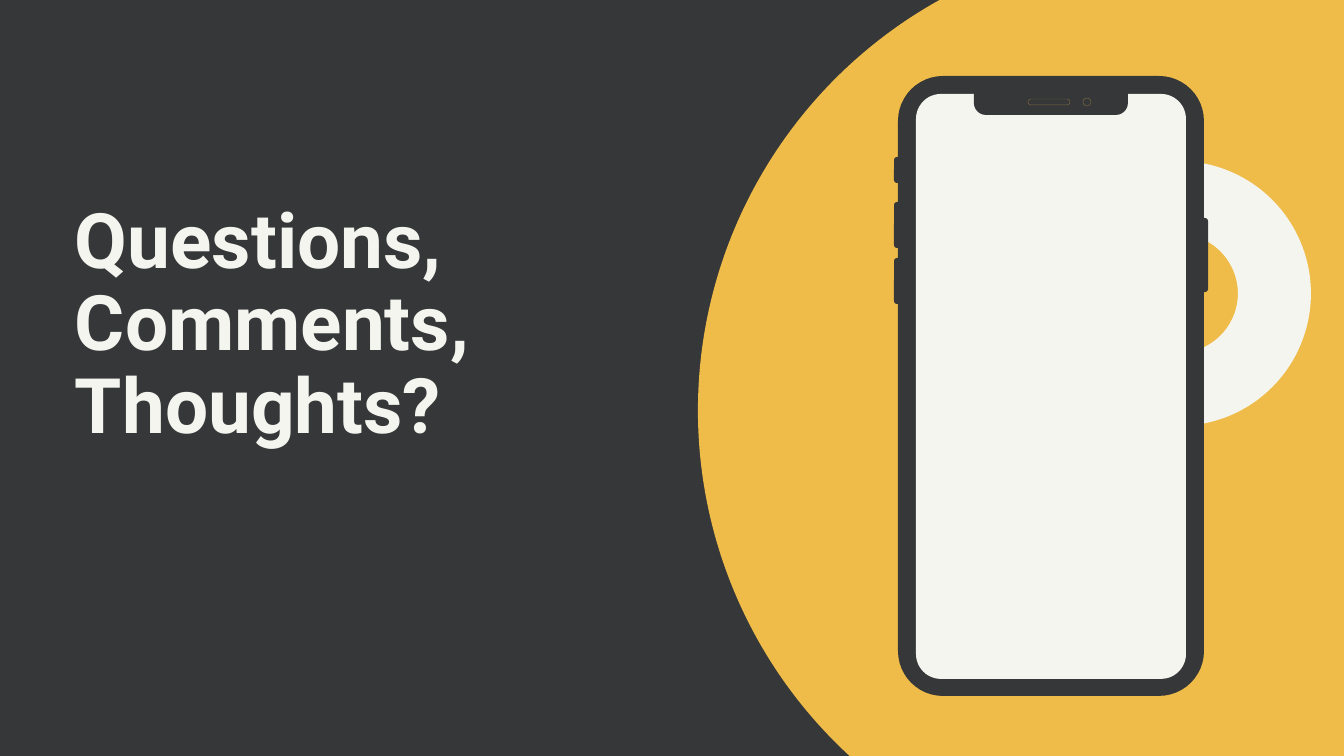
from pptx import Presentation
from pptx.dml.color import RGBColor
from pptx.enum.shapes import MSO_SHAPE
from pptx.enum.text import MSO_ANCHOR, MSO_AUTO_SIZE, PP_ALIGN
from pptx.util import Pt

DARK = RGBColor(0x36, 0x37, 0x39)
YELLOW = RGBColor(0xEF, 0xBC, 0x49)
CREAM = RGBColor(0xF5, 0xF5, 0xEF)
SEAM = RGBColor(0x7A, 0x66, 0x40)

OVAL = MSO_SHAPE.OVAL
DONUT = MSO_SHAPE.DONUT
ROUNDED = MSO_SHAPE.ROUNDED_RECTANGLE
ROUND_TWO = MSO_SHAPE.ROUND_2_SAME_RECTANGLE

TITLE = "Questions, Comments, Thoughts?"
TITLE_BOX = (75, 243, 540, 207)

# shape, (left, top, width, height), fill, corner radii or ring thickness
BACKDROP = [
    (OVAL, (698, -59, 939, 939), YELLOW, ()),
    (DONUT, (1046, 161, 265, 265), CREAM, (73,)),
]
BUTTONS = [(894, 157, 26), (894, 202, 46), (894, 258, 46), (1198, 218, 74)]
BUTTON_W, BUTTON_R = 10, 3
PHONE = [
    (ROUNDED, (898, 76, 306, 620), DARK, (45,)),
    (ROUNDED, (916, 94, 270, 585), CREAM, (25,)),
    (ROUND_TWO, (974, 90, 154, 25), DARK, (0, 12)),
]
# parts set apart from the dark body only by a hairline
SEAMED = [
    (ROUNDED, (1028, 99, 42, 6), DARK, (3,)),
    (OVAL, (1083, 98, 8, 8), DARK, ()),
]

EMU_PER_PX = 914400 / 134.4


def px(n):
    return round(n * EMU_PER_PX)


def add_part(slide, kind, box, fill, radii, seam=False):
    sp = slide.shapes.add_shape(kind, *map(px, box))
    sp.shadow.inherit = False
    sp.fill.solid()
    sp.fill.fore_color.rgb = fill
    if seam:
        sp.line.color.rgb = SEAM
        sp.line.width = Pt(0.25)
    else:
        sp.line.fill.background()
    for i, radius in enumerate(radii):
        sp.adjustments[i] = radius / min(box[2:])


def set_title(slide):
    title = slide.shapes.title
    title.left, title.top, title.width, title.height = map(px, TITLE_BOX)
    tf = title.text_frame
    tf.margin_left = tf.margin_top = tf.margin_right = tf.margin_bottom = 0
    tf.word_wrap = True
    tf.auto_size = MSO_AUTO_SIZE.NONE
    tf.vertical_anchor = MSO_ANCHOR.BOTTOM
    p = tf.paragraphs[0]
    p.alignment = PP_ALIGN.LEFT
    p.line_spacing = 0.9
    p.space_before = Pt(0)
    r = p.add_run()
    r.text = TITLE
    r.font.name = "Roboto"
    r.font.size = Pt(41)
    r.font.bold = True
    r.font.color.rgb = CREAM


def main():
    prs = Presentation()
    prs.slide_width, prs.slide_height = px(1344), px(756)
    slide = prs.slides.add_slide(prs.slide_layouts[5])
    slide.background.fill.solid()
    slide.background.fill.fore_color.rgb = DARK

    buttons = [(ROUNDED, (x, y, BUTTON_W, h), DARK, (BUTTON_R,))
               for x, y, h in BUTTONS]
    for part in BACKDROP + buttons + PHONE:
        add_part(slide, *part)
    for part in SEAMED:
        add_part(slide, *part, seam=True)
    set_title(slide)
    prs.save("out.pptx")


if __name__ == "__main__":
    main()
